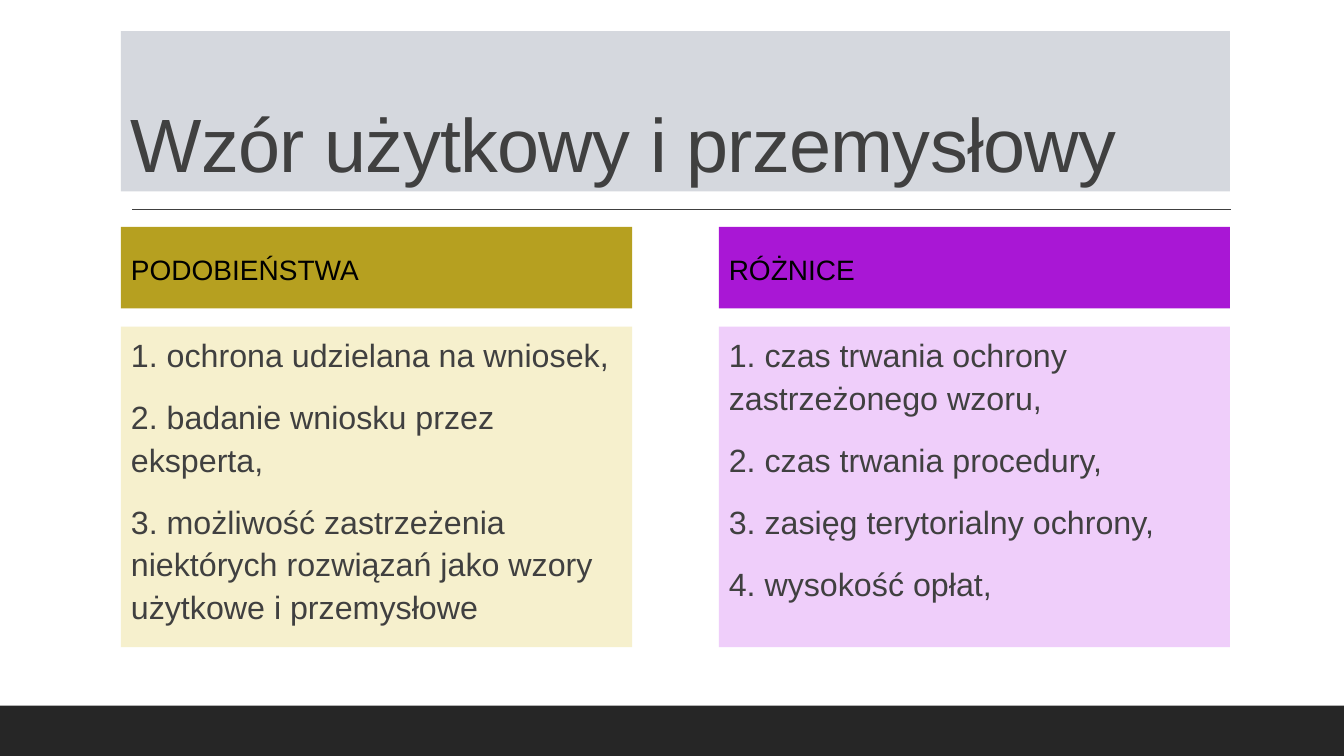
from dataclasses import dataclass

from lxml.etree import SubElement
from pptx import Presentation
from pptx.dml.color import RGBColor
from pptx.enum.shapes import MSO_CONNECTOR as Connector, MSO_SHAPE as Preset
from pptx.enum.text import MSO_ANCHOR as Anchor, PP_ALIGN as Align
from pptx.oxml.ns import qn
from pptx.slide import Slide
from pptx.util import Inches, Pt

FONT = "Arial"
DARK_GREY = "404040"


@dataclass
class Box:
    left: float
    top: float
    width: float
    height: float
    fill: str
    lines: tuple[str, ...] = ()
    size: float = 20
    color: str = DARK_GREY
    anchor: Anchor = Anchor.MIDDLE
    line_spacing: float = 1.1
    space_before: float = 12
    space_after: float = 2
    right_inset: float = 0.1
    letter_spacing: float = 0


@dataclass
class Column:
    left: float
    heading: str
    heading_fill: str
    body_fill: str
    points: tuple[str, ...]


def rgb(value: str) -> RGBColor:
    return RGBColor.from_string(value)


def draw_box(slide: Slide, box: Box) -> None:
    shape = slide.shapes.add_shape(
        Preset.RECTANGLE,
        *(Inches(v) for v in (box.left, box.top, box.width, box.height)))
    shape.shadow.inherit = False
    shape.fill.solid()
    shape.fill.fore_color.rgb = rgb(box.fill)
    shape.line.fill.background()

    frame = shape.text_frame
    frame_format = {
        "word_wrap": True, "vertical_anchor": box.anchor,
        "margin_left": Inches(0.1), "margin_right": Inches(box.right_inset),
        "margin_top": Inches(0.05), "margin_bottom": Inches(0.05),
    }
    for name, value in frame_format.items():
        setattr(frame, name, value)

    for index, text in enumerate(box.lines):
        paragraph = frame.add_paragraph() if index else frame.paragraphs[0]
        paragraph_format = {
            "alignment": Align.LEFT, "line_spacing": box.line_spacing,
            "space_before": Pt(box.space_before if index else 0),
            "space_after": Pt(box.space_after),
        }
        for name, value in paragraph_format.items():
            setattr(paragraph, name, value)
        run = paragraph.add_run()
        run.text = text
        for name, value in {"name": FONT, "size": Pt(box.size)}.items():
            setattr(run.font, name, value)
        run.font.color.rgb = rgb(box.color)
        if box.letter_spacing:
            run._r.get_or_add_rPr().set("spc", str(round(box.letter_spacing * 100)))


def draw_rule(slide: Slide, left: float, right: float, top: float) -> None:
    rule = slide.shapes.add_connector(
        Connector.STRAIGHT, Inches(left), Inches(top), Inches(right), Inches(top))
    rule.line.color.rgb = rgb(DARK_GREY)
    rule.line.width = Pt(1)
    SubElement(rule._element.spPr, qn("a:effectLst"))


def draw_column(slide: Slide, column: Column) -> None:
    width = 5.07
    draw_box(slide, Box(column.left, 2.25, width, 0.81, column.heading_fill,
                        (column.heading,), color="000000"))
    draw_box(slide, Box(column.left, 3.24, width, 3.18, column.body_fill,
                        column.points, size=23, anchor=Anchor.TOP, right_inset=0))


COLUMNS = (
    Column(1.2, "PODOBIEŃSTWA", "B6A020", "F6F0CD", (
        "1. ochrona udzielana na wniosek,",
        "2. badanie wniosku przez eksperta,",
        "3. możliwość zastrzeżenia niektórych rozwiązań jako wzory użytkowe i przemysłowe",
    )),
    Column(7.13, "RÓŻNICE", "A917D5", "EFCEFA", (
        "1. czas trwania ochrony zastrzeżonego wzoru,",
        "2. czas trwania procedury,",
        "3. zasięg terytorialny ochrony,",
        "4. wysokość opłat,",
    )),
)


def main() -> None:
    presentation = Presentation()
    presentation.slide_width = Inches(13.33)
    presentation.slide_height = Inches(7.5)
    slide = presentation.slides.add_slide(presentation.slide_layouts[6])

    # Footer band and rule under the title
    draw_box(slide, Box(0, 7, 13.33, 0.5, "262626"))
    draw_rule(slide, 1.31, 12.21, 2.08)

    # Title
    draw_box(slide, Box(1.2, 0.31, 11, 1.59, "D5D8DE",
                        ("Wzór użytkowy i przemysłowy",), size=54,
                        anchor=Anchor.BOTTOM, line_spacing=0.8,
                        space_after=0, letter_spacing=-0.5))

    # Comparison columns
    for column in COLUMNS:
        draw_column(slide, column)

    presentation.save("out.pptx")


if __name__ == "__main__":
    main()
